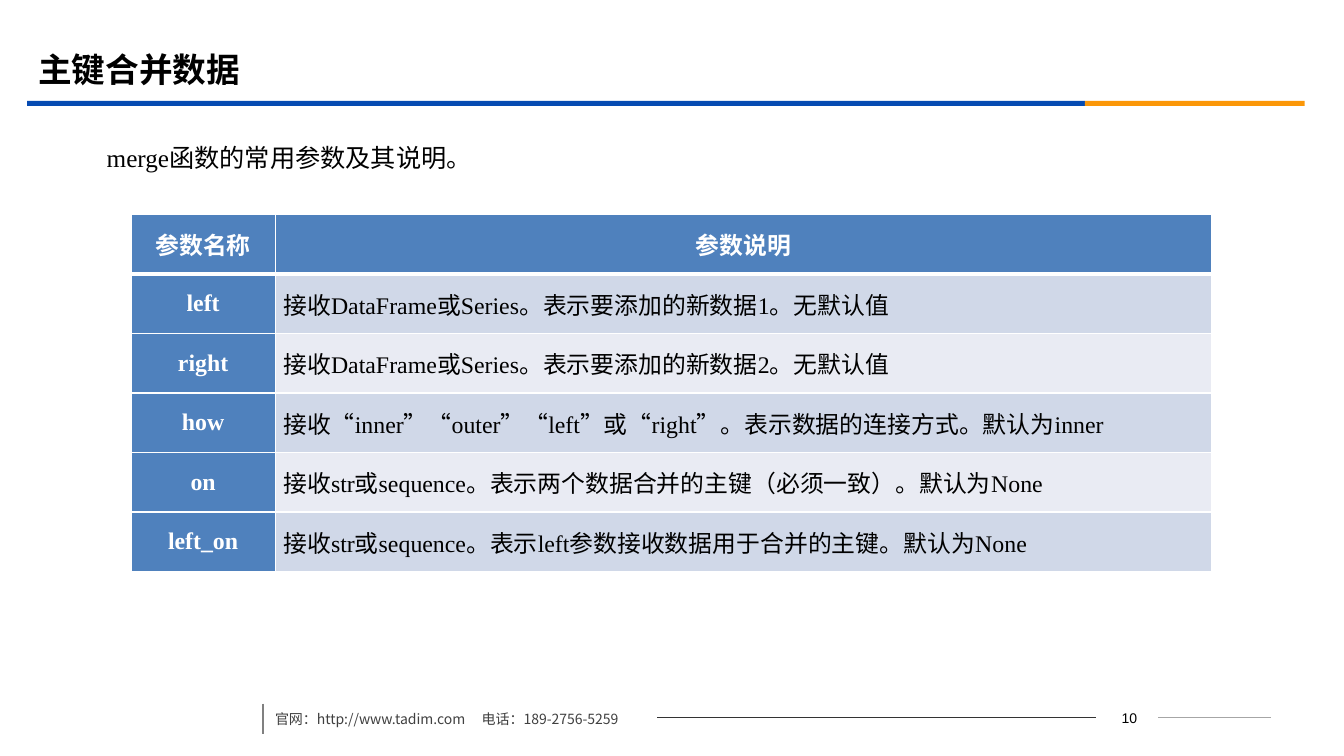
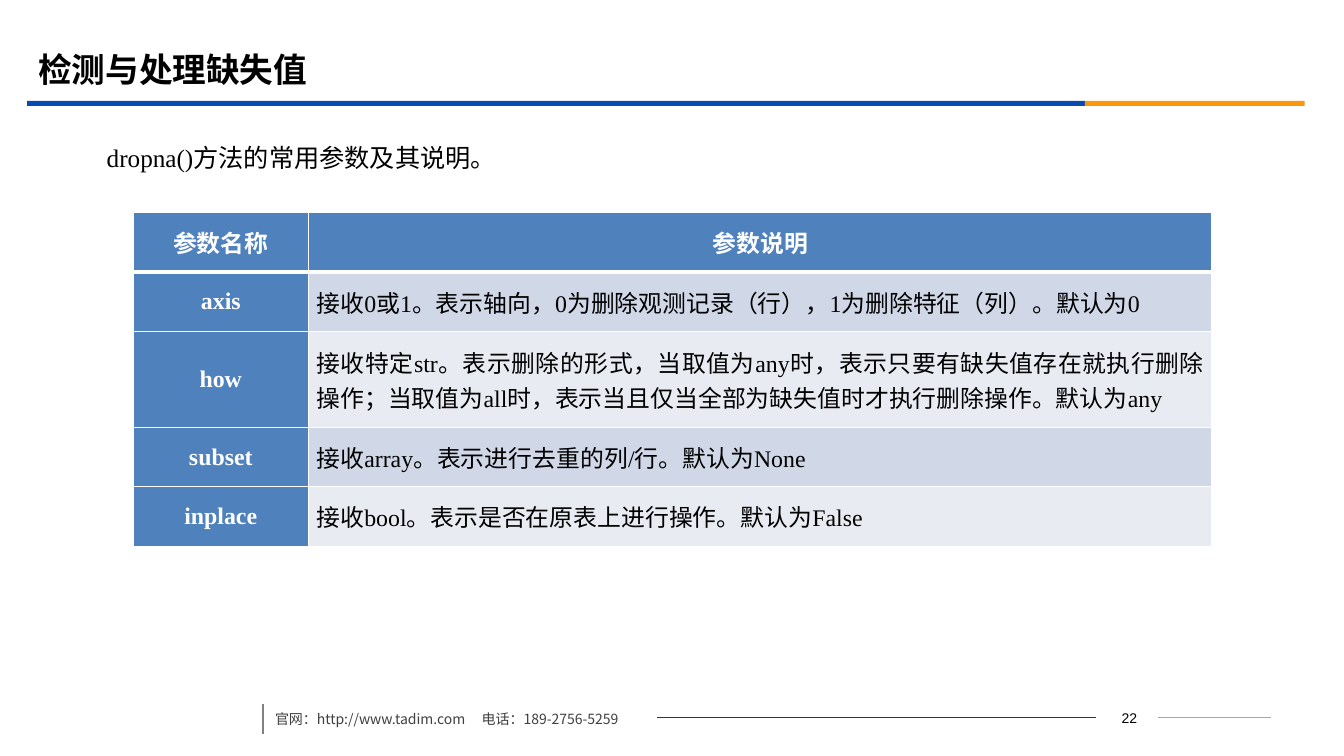
from pptx import Presentation
from pptx.util import Inches, Pt
from pptx.dml.color import RGBColor
from pptx.enum.shapes import MSO_SHAPE as Shape, MSO_CONNECTOR as Line
from pptx.enum.text import PP_ALIGN as Align, MSO_ANCHOR as Anchor, MSO_AUTO_SIZE as Fit
from lxml.etree import SubElement
from pptx.oxml.ns import qn

COLORS = {
    "blue": "064BB2", "orange": "FB9708", "black": "000000", "white": "FFFFFF",
    "text": "404040", "dark": "333333", "mid": "808080", "light": "A6A6A6",
    "head": "4F81BD", "odd": "D0D8E8", "even": "E9EBF3",
}
SANS, SERIF = "Noto Sans CJK SC", "Times New Roman"

# Shared parts: left, width, colour / x1, y1, x2, y2, colour, weight
BANDS = [(0.27, 10.49, "blue"), (10.76, 2.18, "orange")]
RULES = [
    (11.49, 7.12, 12.61, 7.12, "light", 0.75),
    (6.52, 7.12, 10.87, 7.12, "dark", 0.75),
    (2.61, 6.98, 2.61, 7.28, "mid", 1.25),
]
NOTES = [(2.63, "官网：http://www.tadim.com"), (4.68, "电话：189-2756-5259")]
ROW, TALL = 0.59, 0.95

PAGES = [
    {
        "title": "主键合并数据", "page": "10",
        "lead": "merge函数的常用参数及其说明。",
        "at": (1.3, 2.13), "cols": (1.43, 9.29),
        "rows": [
            ("left", "接收DataFrame或Series。表示要添加的新数据1。无默认值"),
            ("right", "接收DataFrame或Series。表示要添加的新数据2。无默认值"),
            ("how", "接收“inner”“outer”“left”或“right”。表示数据的连接方式。默认为inner"),
            ("on", "接收str或sequence。表示两个数据合并的主键（必须一致）。默认为None"),
            ("left_on", "接收str或sequence。表示left参数接收数据用于合并的主键。默认为None"),
        ],
    },
    {
        "title": "检测与处理缺失值", "page": "22",
        "lead": "dropna()方法的常用参数及其说明。",
        "at": (1.32, 2.11), "cols": (1.74, 8.96),
        "rows": [
            ("axis", "接收0或1。表示轴向，0为删除观测记录（行），1为删除特征（列）。默认为0"),
            ("how", "接收特定str。表示删除的形式，当取值为any时，表示只要有缺失值存在就执行删除操作；"
                    "当取值为all时，表示当且仅当全部为缺失值时才执行删除操作。默认为any"),
            ("subset", "接收array。表示进行去重的列/行。默认为None"),
            ("inplace", "接收bool。表示是否在原表上进行操作。默认为False"),
        ],
    },
]


def write(par, text, size, color, font, bold=False, align=Align.LEFT):
    par.alignment = align
    run = par.add_run()
    run.text = text
    run.font.size, run.font.bold, run.font.name = Pt(size), bold, font
    run.font.color.rgb = RGBColor.from_string(COLORS[color])
    props = run.font._element
    props.set("lang", "zh-CN")
    SubElement(props, qn("a:ea")).set("typeface", SANS)


def add_box(slide, left, top, width, height):
    frame = slide.shapes.add_textbox(
        Inches(left), Inches(top), Inches(width), Inches(height)).text_frame
    frame.word_wrap = True
    return frame


deck = Presentation()
deck.slide_width, deck.slide_height = Inches(13.33), Inches(7.5)

for page in PAGES:
    slide = deck.slides.add_slide(deck.slide_layouts[5])

    # Title and bands
    title = slide.shapes.title
    title.left, title.top = Inches(0.28), Inches(0.4)
    title.width, title.height = Inches(12), Inches(0.58)
    frame = title.text_frame
    frame.vertical_anchor, frame.auto_size = Anchor.MIDDLE, Fit.NONE
    write(frame.paragraphs[0], page["title"], 24, "black", SANS, True)
    for left, width, color in BANDS:
        band = slide.shapes.add_shape(
            Shape.RECTANGLE, Inches(left), Inches(1), Inches(width), Inches(0.05))
        band.shadow.inherit = False
        band.fill.solid()
        band.fill.fore_color.rgb = RGBColor.from_string(COLORS[color])
        band.line.fill.background()

    # Footer
    for x1, y1, x2, y2, color, weight in RULES:
        rule = slide.shapes.add_connector(
            Line.STRAIGHT, Inches(x1), Inches(y1), Inches(x2), Inches(y2))
        rule.line.color.rgb = RGBColor.from_string(COLORS[color])
        rule.line.width = Pt(weight)
        SubElement(rule._element.spPr, qn("a:effectLst"))
    for left, text in NOTES:
        par = add_box(slide, left, 6.92, 2.2, 0.35).paragraphs[0]
        par.line_spacing, par.space_before = 1.5, Pt(6)
        write(par, text, 10, "text", SANS)
    frame = add_box(slide, 10.89, 7, 0.62, 0.25)
    frame.vertical_anchor = Anchor.MIDDLE
    write(frame.paragraphs[0], page["page"], 10, "black", "Arial", align=Align.CENTER)

    # Lead sentence with a first-line indent
    par = add_box(slide, 0.46, 1.21, 12.15, 0.6).paragraphs[0]
    par.line_spacing, par.space_before = 1.5, Pt(3.6)
    write(par, page["lead"], 18, "black", SERIF)
    par._p.get_or_add_pPr().set("indent", str(Inches(0.5)))

    # Parameter table, with tall rows for long descriptions
    rows = [("参数名称", "参数说明")] + page["rows"]
    highs = [TALL if len(text) > 60 else ROW for _, text in rows]
    left, top = page["at"]
    table = slide.shapes.add_table(
        len(rows), 2, Inches(left), Inches(top),
        Inches(sum(page["cols"])), Inches(sum(highs))).table
    for col, width in zip(table.columns, page["cols"]):
        col.width = Inches(width)
    for r, row in enumerate(rows):
        table.rows[r].height = Inches(highs[r])
        for c, text in enumerate(row):
            cell = table.cell(r, c)
            cell.margin_left = cell.margin_right = Inches(0.08)
            cell.margin_top = cell.margin_bottom = 0
            cell.vertical_anchor = Anchor.MIDDLE
            for side in "LRTB":
                thick = (r, side) in ((0, "B"), (1, "T"))
                edge = SubElement(cell._tc.get_or_add_tcPr(), qn("a:ln" + side))
                edge.set("w", str(Pt(3 if thick else 1)))
                fill = SubElement(edge, qn("a:solidFill"))
                SubElement(fill, qn("a:srgbClr")).set("val", COLORS["white"])
            head = r == 0 or c == 0
            tone = "head" if head else "odd" if r % 2 else "even"
            cell.fill.solid()
            cell.fill.fore_color.rgb = RGBColor.from_string(COLORS[tone])
            write(cell.text_frame.paragraphs[0], text, 17,
                  "white" if head else "black", SERIF, head,
                  Align.CENTER if head else Align.JUSTIFY)

deck.save("out.pptx")
